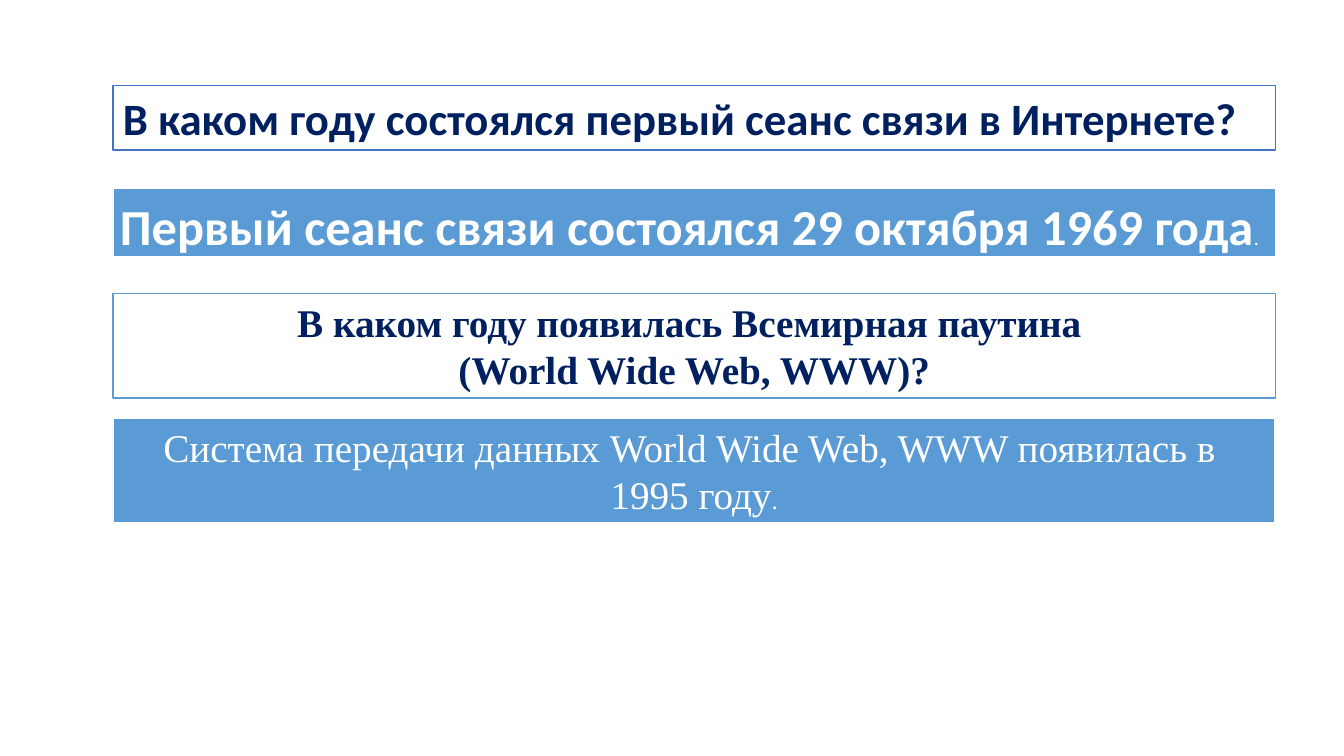
from lxml.etree import SubElement as Sub
from pptx import Presentation
from pptx.dml.color import RGBColor as Rgb
from pptx.enum.shapes import MSO_SHAPE as Shape
from pptx.enum.text import MSO_ANCHOR as Anchor, MSO_AUTO_SIZE as Auto, PP_ALIGN as Align
from pptx.oxml.ns import qn
from pptx.util import Inches, Pt

HUES = {"white": "FFFFFF", "navy": "002060", "blue": "5B9BD5", "edge": "4472C4"}
SERIF = "Times New Roman"
LEFT, WIDTH = 1.12, 11.53


def hue(name):
    """Return the named colour."""
    return Rgb.from_string(HUES[name])


def write(frame, lines, font, size, color, bold, align, dot=None):
    """Fill a frame with lines, setting a closing dot in its own size."""
    for i, line in enumerate(lines):
        para = frame.paragraphs[0] if i == 0 else frame.add_paragraph()
        para.text = line
        para.alignment = align
        if dot and i == len(lines) - 1:
            para.add_run().text = "."
        for run in para.runs:
            run.font.name = font
            run.font.size = Pt(dot if run.text == "." else size)
            run.font.bold = bold
            run.font.color.rgb = hue(color)


def panel(slide, box, lines, fill, edge, weight, **style):
    """Draw a bordered box of text."""
    shape = slide.shapes.add_shape(Shape.RECTANGLE, *map(Inches, box))
    shape.shadow.inherit = False
    shape.fill.solid()
    shape.fill.fore_color.rgb = hue(fill)
    shape.line.color.rgb = hue(edge)
    shape.line.width = Pt(weight)
    frame = shape.text_frame
    frame.word_wrap = True
    frame.auto_size = Auto.SHAPE_TO_FIT_TEXT
    frame.vertical_anchor = Anchor.TOP
    write(frame, lines, **style)


def banner(slide, box, line, **style):
    """Draw a one-cell table holding an answer."""
    table = slide.shapes.add_table(1, 1, *map(Inches, box)).table
    table.first_row = table.horz_banding = False
    cell = table.cell(0, 0)
    cell.margin_left = cell.margin_right = Inches(0.07)
    cell.margin_top = cell.margin_bottom = 0
    write(cell.text_frame, [line], **style)
    cell.text_frame.paragraphs[0].line_spacing = 1.15
    props = cell._tc.get_or_add_tcPr()
    for side, weight in (("L", 1), ("R", 1), ("T", 1), ("B", 3)):
        edge = Sub(props, qn(f"a:ln{side}"), w=str(Pt(weight)))
        Sub(Sub(edge, qn("a:solidFill")), qn("a:srgbClr"), val=HUES["white"])
    cell.fill.solid()
    cell.fill.fore_color.rgb = hue("blue")


def quiz(slide):
    """Place the two questions with their answers."""
    panel(slide, (LEFT, 0.85, WIDTH, 0.64),
          ["В каком году состоялся первый сеанс связи в Интернете?"],
          "white", "edge", 1, font="Calibri", size=32, color="navy",
          bold=True, align=Align.LEFT)
    banner(slide, (LEFT, 1.87, WIDTH, 0.69),
           "Первый сеанс связи состоялся 29 октября 1969 года",
           font="Calibri", size=36, color="white", bold=True,
           align=Align.JUSTIFY, dot=12)
    panel(slide, (LEFT, 2.91, WIDTH, 1.04),
          ["В каком году появилась Всемирная паутина ", "(World Wide Web, WWW)?"],
          "white", "blue", 1, font=SERIF, size=28, color="navy",
          bold=True, align=Align.CENTER)
    panel(slide, (LEFT, 4.15, WIDTH, 1.04),
          ["Система передачи данных World Wide Web, WWW появилась в ", "1995 году"],
          "blue", "white", 1.5, font=SERIF, size=28, color="white",
          bold=False, align=Align.CENTER, dot=18)


def main():
    """Build and save the deck."""
    deck = Presentation()
    deck.slide_width, deck.slide_height = Inches(13.33), Inches(7.5)
    quiz(deck.slides.add_slide(deck.slide_layouts[6]))
    deck.save("out.pptx")


if __name__ == "__main__":
    main()
